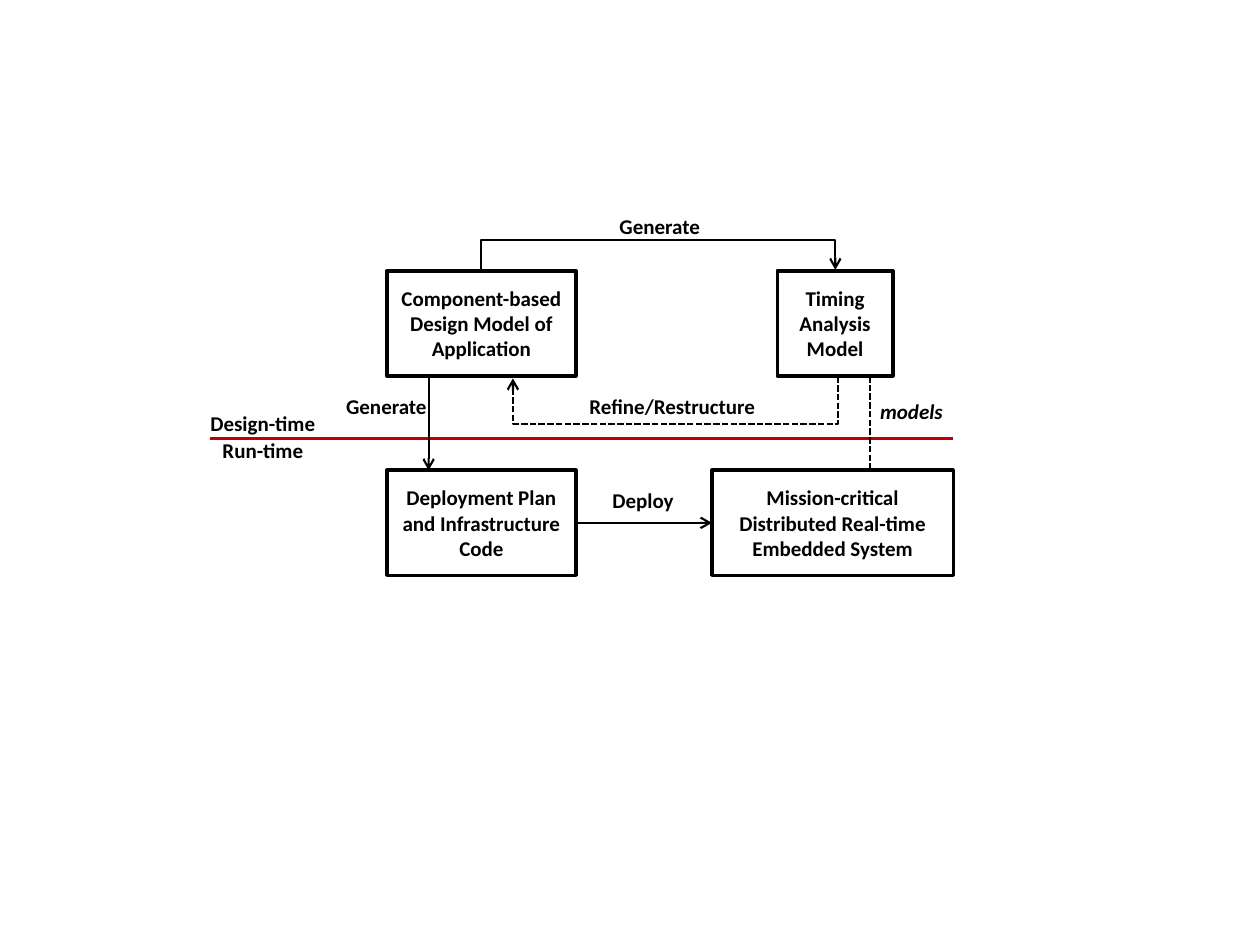
from lxml import etree
from pptx import Presentation
from pptx.dml.color import RGBColor
from pptx.enum import dml, shapes, text
from pptx.oxml.ns import qn
from pptx.util import Cm, Pt

BLACK = RGBColor(0x00, 0x00, 0x00)
WHITE = RGBColor(0xFF, 0xFF, 0xFF)
RED = RGBColor(0xC0, 0x00, 0x00)

presentation = Presentation()
presentation.slide_width = Cm(25.4)
presentation.slide_height = Cm(19.05)
slide = presentation.slides.add_slide(presentation.slide_layouts[6])


def write(shape, words, italic=False):
    shape.text_frame.text = words
    shape.text_frame.word_wrap = True
    paragraph = shape.text_frame.paragraphs[0]
    paragraph.alignment = text.PP_ALIGN.CENTER
    font = paragraph.runs[0].font
    font.name = "Calibri"
    font.size = Pt(12)
    font.bold = True
    font.italic = italic
    font.color.rgb = BLACK


def connect(kind, start, end, color=BLACK, dashed=False, arrow=True):
    connector = slide.shapes.add_connector(
        kind, *[Cm(value) for value in start + end])
    connector.line.color.rgb = color
    connector.line.width = Pt(1.25)
    if dashed:
        connector.line.dash_style = dml.MSO_LINE.SQUARE_DOT
    if arrow:
        etree.SubElement(connector.line._get_or_add_ln(), qn("a:tailEnd"), type="arrow")
    etree.SubElement(connector._element.spPr, qn("a:effectLst"))
    return connector


box_height = 2.12
design_top, runtime_top = 5.46, 9.48
design_bottom = design_top + box_height
boxes = {}
for name, words, left, top, width in [
    ("design", "Component-based Design Model of Application", 7.8, design_top, 3.81),
    ("timing", "Timing Analysis Model", 15.67, design_top, 2.33),
    ("deployment", "Deployment Plan and Infrastructure Code", 7.8, runtime_top, 3.81),
    ("system", "Mission-critical Distributed Real-time Embedded System",
     14.35, runtime_top, 4.87),
]:
    box = slide.shapes.add_shape(
        shapes.MSO_SHAPE.RECTANGLE, Cm(left), Cm(top), Cm(width), Cm(box_height))
    box.shadow.inherit = False
    box.fill.solid()
    box.fill.fore_color.rgb = WHITE
    box.line.color.rgb = BLACK
    box.line.width = Pt(2)
    box.text_frame.vertical_anchor = text.MSO_ANCHOR.MIDDLE
    write(box, words)
    boxes[name] = box

straight = shapes.MSO_CONNECTOR.STRAIGHT
connect(straight, (4.24, 8.84), (19.22, 8.84), color=RED, arrow=False)
connect(straight, (8.64, design_bottom), (8.64, runtime_top))
connect(straight, (17.53, design_bottom), (17.53, runtime_top), dashed=True, arrow=False)
deploy_y = runtime_top + box_height / 2
deploy = connect(straight, (11.61, deploy_y), (14.35, deploy_y))
deploy.begin_connect(boxes["deployment"], 3)
deploy.end_connect(boxes["system"], 1)

depth = 0.04
for start_x, end_x, y, rise, dashed in [
    (9.7, 16.84, design_top, 0.64, False),
    (16.89, 10.34, design_bottom + 0.03, 0.96, True),
]:
    middle_x = (start_x + end_x) / 2
    half_span = (start_x - end_x) / 2
    half_depth = depth / 2 if dashed else -depth / 2
    elbow = connect(
        shapes.MSO_CONNECTOR.ELBOW,
        (middle_x - half_depth, y - half_span),
        (middle_x + half_depth, y + half_span),
        dashed=dashed)
    properties = elbow._element.spPr
    properties.find(qn("a:xfrm")).set("rot", "5400000")
    adjustments = properties.find(qn("a:prstGeom")).find(qn("a:avLst"))
    etree.SubElement(adjustments, qn("a:gd"), name="adj1",
                     fmla=f"val {round(rise / depth * 100000)}")

for words, left, top, width, italic in [
    ("Generate", 11.61, 4.19, 3.38, False),
    ("Refine/Restructure", 11.61, 7.8, 3.89, False),
    ("models", 16.43, 7.9, 3.89, True),
    ("Deploy", 11.02, 9.7, 3.89, False),
    ("Generate", 6.1, 7.8, 3.38, False),
    ("Design-time", 3.61, 8.15, 3.38, False),
    ("Run-time", 3.61, 8.69, 3.38, False),
]:
    label = slide.shapes.add_textbox(Cm(left), Cm(top), Cm(width), Cm(0.77))
    label.text_frame.auto_size = text.MSO_AUTO_SIZE.SHAPE_TO_FIT_TEXT
    write(label, words, italic)

presentation.save("out.pptx")
